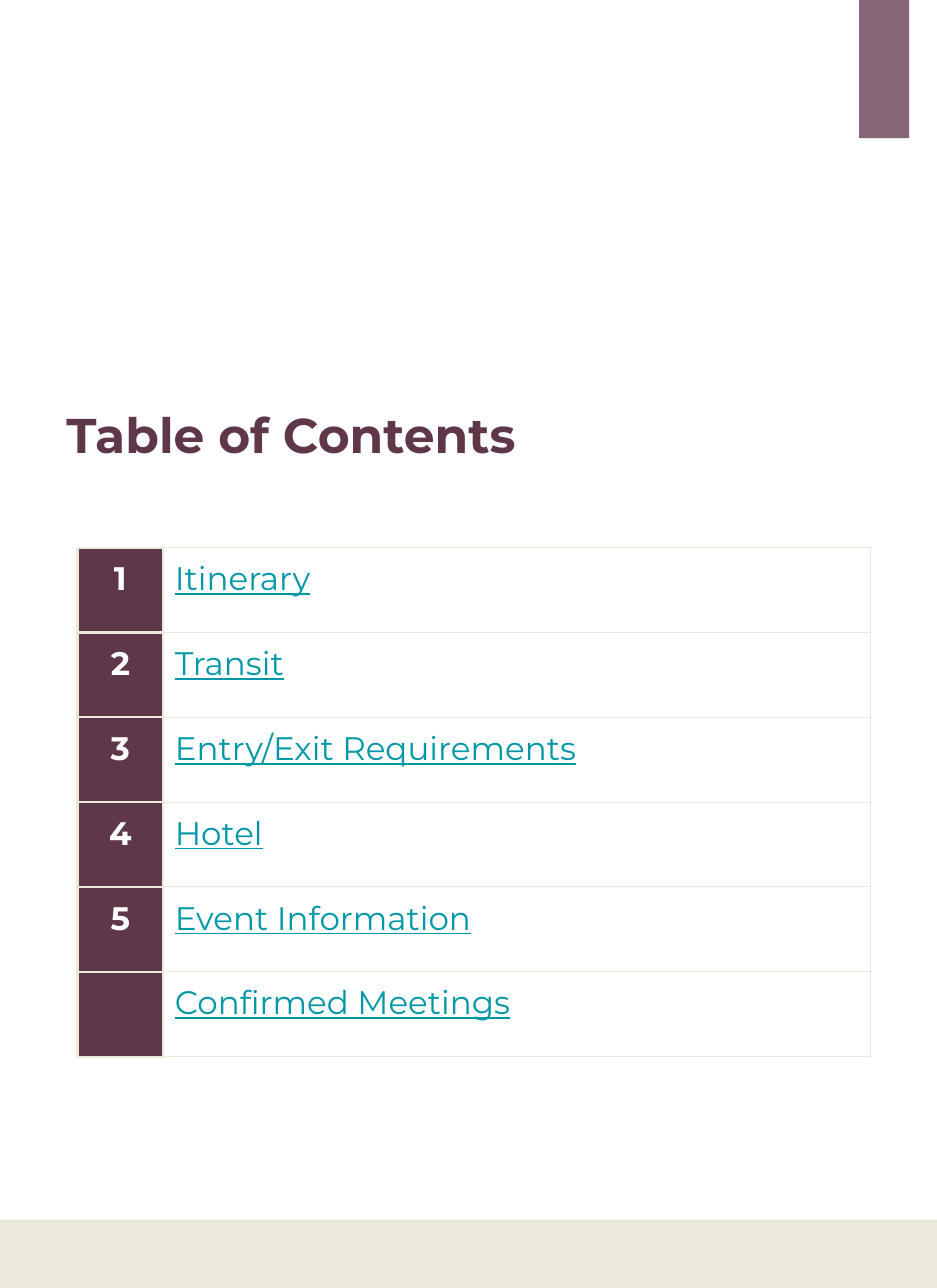
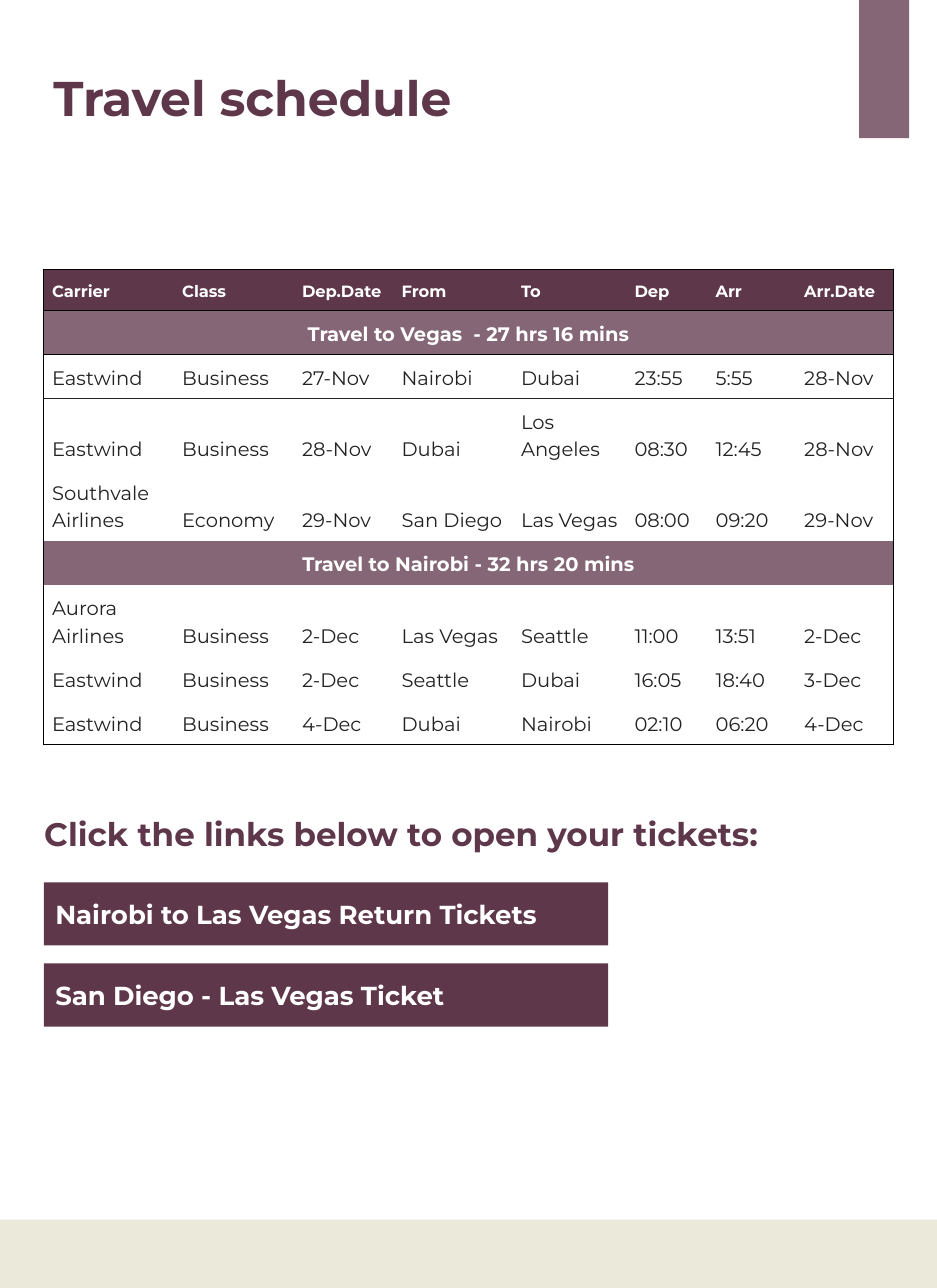
from lxml import etree
from pptx import Presentation
from pptx.dml.color import RGBColor
from pptx.enum.shapes import MSO_SHAPE
from pptx.enum.text import MSO_ANCHOR, MSO_AUTO_SIZE, PP_ALIGN
from pptx.oxml.ns import qn
from pptx.util import Cm, Pt

RECT = MSO_SHAPE.RECTANGLE
TOP, MIDDLE, BOTTOM = MSO_ANCHOR.TOP, MSO_ANCHOR.MIDDLE, MSO_ANCHOR.BOTTOM
LEFT, CENTER, JUSTIFY = PP_ALIGN.LEFT, PP_ALIGN.CENTER, PP_ALIGN.JUSTIFY
NO_FIT = MSO_AUTO_SIZE.NONE

FONT = "Montserrat"
PLUM, SAND, TEAL = "5E374B", "EBE9DA", "0097A7"
WHITE, BLACK, INK = "FFFFFF", "000000", "222222"
SOFT = 76  # percent opacity of the lighter plum
WIDE, HIGH = 20.32, 27.94
PAD, TIGHT = 0.25, 0.18


def paint(fill, color, alpha=100):
    """Give a shape, cell or font a solid colour, with opacity in percent."""
    fill.solid()
    fill.fore_color.rgb = RGBColor.from_string(color)
    if alpha < 100:
        tone = fill._xPr.find(".//" + qn("a:srgbClr"))
        etree.SubElement(tone, qn("a:alpha"), val=str(alpha * 1000))


def write(box, text, size=12, color=PLUM, bold=True, line=False,
          align=LEFT, anchor=TOP, pad=PAD, space=None):
    """Put text in a shape or a table cell; pad is the inset in cm."""
    box.margin_left = box.margin_right = Cm(pad)
    box.margin_top = box.margin_bottom = Cm(pad)
    box.vertical_anchor = anchor
    frame = getattr(box, "text_frame", box)
    frame.word_wrap = True
    para = frame.paragraphs[0]
    para.alignment = align
    para.line_spacing = space
    para.font.size = Pt(size)
    if text:
        run = para.add_run()
        run.text = text
        font = run.font
        font.name, font.size, font.bold = FONT, Pt(size), bold
        font.underline = line
        paint(font.fill, color)


deck = Presentation()
deck.slide_width, deck.slide_height = Cm(WIDE), Cm(HIGH)

# Title, bottom band and corner tab on each slide
pages = []
for title, left, top in [("Table of Contents", 1.19, 8.53),
                         ("Travel schedule", 0.91, 1.22)]:
    page = deck.slides.add_slide(deck.slide_layouts[5])
    head = page.shapes.title
    head.left, head.top, head.width, head.height = Cm(left), Cm(top), Cm(17.91), Cm(1.78)
    head.text_frame.auto_size = NO_FIT
    write(head.text_frame, title, size=30)
    for x, y, w, h, color, alpha in [(0, 26.46, WIDE, 1.48, SAND, 100),
                                     (18.63, 0, 1.09, 3, PLUM, SOFT)]:
        band = page.shapes.add_shape(RECT, Cm(x), Cm(y), Cm(w), Cm(h))
        band.shadow.inherit = False
        band.line.fill.background()
        paint(band.fill, color, alpha)
    pages.append(page)
first, second = pages

# Tables: left, top, column widths, row height
topics = ["Itinerary", "Transit", "Entry/Exit Requirements", "Hotel",
          "Event Information", "Confirmed Meetings"]
trips = [
    ["Carrier", "Class", "Dep.Date", "From", "To", "Dep", "Arr", "Arr.Date"],
    ["Travel to Vegas  - 27 hrs 16 mins"],
    ["Eastwind", "Business", "27-Nov", "Nairobi", "Dubai", "23:55", "5:55", "28-Nov"],
    ["Eastwind", "Business", "28-Nov", "Dubai", "Los Angeles", "08:30", "12:45", "28-Nov"],
    ["Southvale Airlines", "Economy", "29-Nov", "San Diego", "Las Vegas", "08:00", "09:20", "29-Nov"],
    ["Travel to Nairobi - 32 hrs 20 mins"],
    ["Aurora Airlines", "Business", "2-Dec", "Las Vegas", "Seattle", "11:00", "13:51", "2-Dec"],
    ["Eastwind", "Business", "2-Dec", "Seattle", "Dubai", "16:05", "18:40", "3-Dec"],
    ["Eastwind", "Business", "4-Dec", "Dubai", "Nairobi", "02:10", "06:20", "4-Dec"],
]
grids = []
for page, left, top, widths, height, count in [
        (first, 1.68, 11.88, [1.86, 15.33], 1.84, len(topics)),
        (second, 0.95, 5.84, [2.82, 2.6, 2.16, 2.59, 2.46, 1.76, 1.92, 2.11], 0.89, len(trips))]:
    grid = page.shapes.add_table(count, len(widths), Cm(left), Cm(top),
                                 Cm(sum(widths)), Cm(height * count)).table
    grid.first_row = grid.horz_banding = False
    for col, width in zip(grid.columns, widths):
        col.width = Cm(width)
    for row in grid.rows:
        row.height = Cm(height)
    grids.append(grid)
index, plan = grids

edges = []  # cell and its four borders: left, right, top, bottom
thick, thin = (SAND, 1.5), (SAND, 0.75)
for r, topic in enumerate(topics):
    num, name = index.cell(r, 0), index.cell(r, 1)
    write(num, str(r + 1) if r < 5 else "", size=20, color=WHITE, align=CENTER)
    write(name, topic, size=20, color=TEAL, bold=False, line=True)
    paint(num.fill, PLUM)
    name.fill.background()
    edges += [(num, [thick] * 4), (name, [thick, thin, thin, thin])]

frame, rule = (BLACK, 1), (INK, 0.75)
below = {0: frame, 1: frame, 2: rule, len(trips) - 1: frame}
last = len(trips[0]) - 1
for r, trip in enumerate(trips):
    wide = len(trip) == 1
    if wide:
        plan.cell(r, 0).merge(plan.cell(r, last))
    dark = wide or r == 0
    for c in range(last + 1):
        cell = plan.cell(r, c)
        paint(cell.fill, PLUM if dark else WHITE, SOFT if wide else 100)
        edges.append((cell, [frame if c == 0 else None,
                             frame if wide or c == last else None,
                             frame if r == 0 else below.get(r - 1),
                             below.get(r)]))
        if c < len(trip):
            side = CENTER if wide else LEFT if r and c in (3, 4) else JUSTIFY
            write(cell, trip[c], size=12 if r else 10, color=WHITE if dark else INK,
                  bold=dark, align=side, anchor=BOTTOM, pad=TIGHT, space=1.15)

for cell, sides in edges:
    props = cell._tc.get_or_add_tcPr()
    for spot, (tag, side) in enumerate(zip(["a:lnL", "a:lnR", "a:lnT", "a:lnB"], sides)):
        line = etree.Element(qn(tag))
        if side:
            color, width = side
            line.set("w", str(Pt(width)))
            tone = etree.SubElement(line, qn("a:solidFill"))
            etree.SubElement(tone, qn("a:srgbClr"), val=color)
        else:
            etree.SubElement(line, qn("a:noFill"))
        props.insert(spot, line)

# Ticket links
note = second.shapes.add_textbox(Cm(0.71), Cm(17.4), Cm(17.91), Cm(1.37))
write(note.text_frame, "Click the links below to open your tickets:", size=20)
for k, label in enumerate(["Nairobi to Las Vegas Return Tickets",
                           "San Diego - Las Vegas Ticket"]):
    link = second.shapes.add_shape(RECT, Cm(0.95), Cm(19.14 + 1.76 * k), Cm(12.24), Cm(1.37))
    link.shadow.inherit = False
    link.line.fill.background()
    paint(link.fill, PLUM)
    write(link.text_frame, label, size=16, color=WHITE, anchor=MIDDLE)

deck.save("out.pptx")
